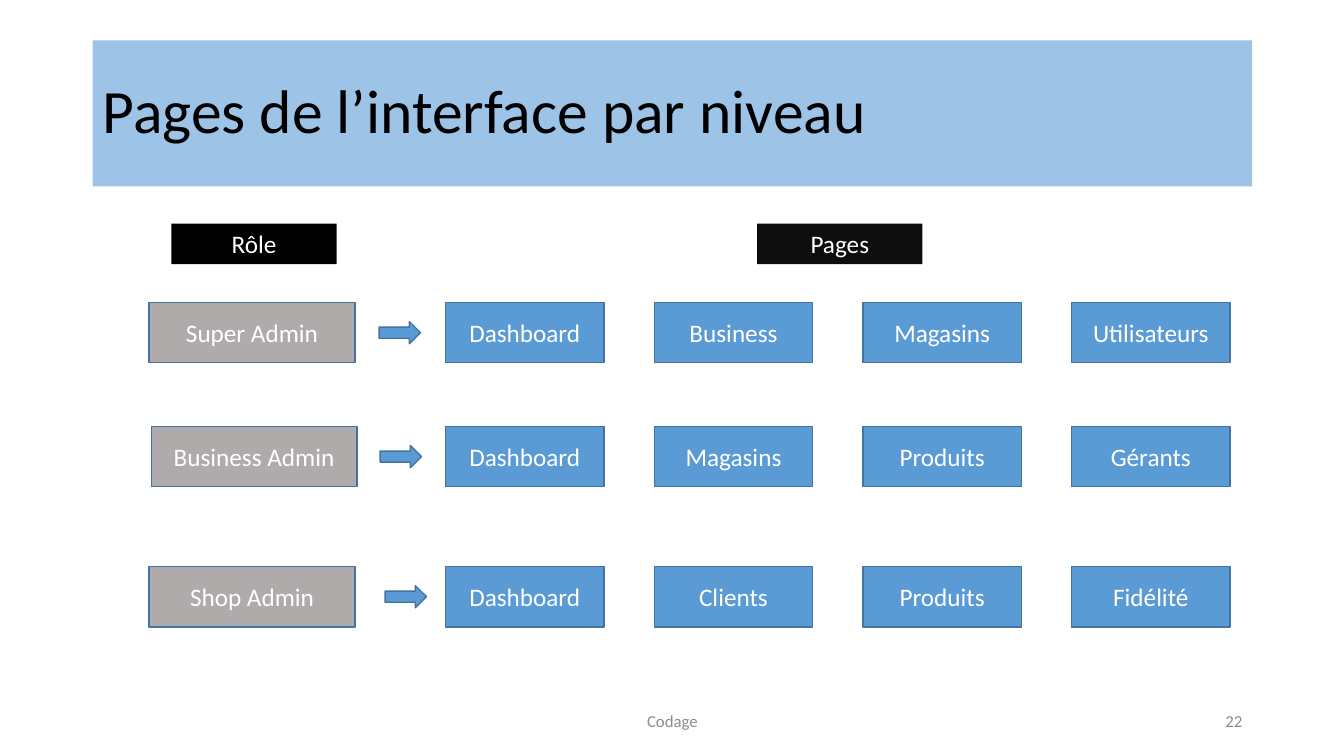
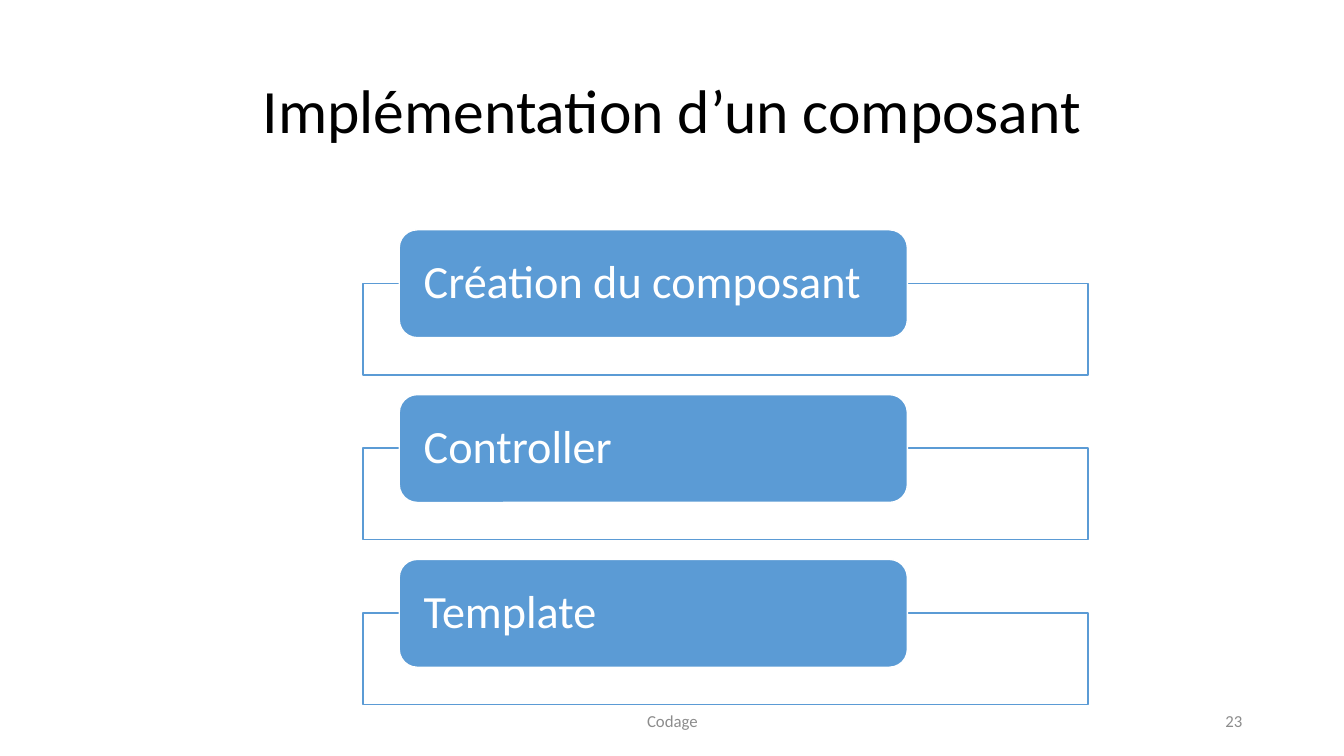
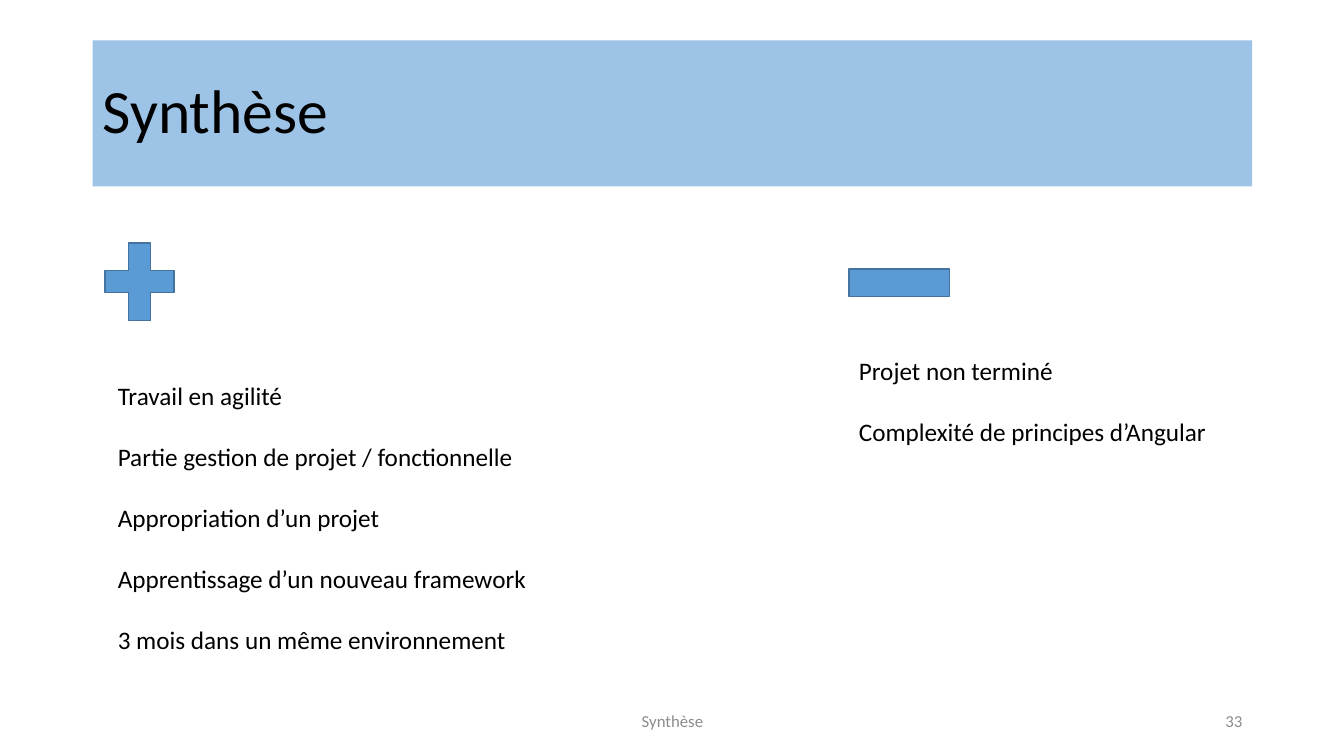
from pptx import Presentation
from pptx.dml.color import RGBColor
from pptx.enum.shapes import MSO_SHAPE as SHAPE
from pptx.enum.text import MSO_ANCHOR as ANCHOR, PP_ALIGN as ALIGN
from pptx.util import Inches, Pt

WHITE = RGBColor(0xFF, 0xFF, 0xFF)
BLACK = RGBColor(0x00, 0x00, 0x00)
NEAR_BLACK = RGBColor(0x0D, 0x0D, 0x0D)
BLUE = RGBColor(0x5B, 0x9B, 0xD5)
LIGHT_BLUE = RGBColor(0x9D, 0xC3, 0xE6)
DARK_BLUE = RGBColor(0x43, 0x73, 0x9E)
GREY = RGBColor(0xAF, 0xAB, 0xAB)
FOOTER_GREY = RGBColor(0x8C, 0x8C, 0x8C)


def add_box(s, text, x, y, w, h, shape=SHAPE.RECTANGLE, fill=None, line=None,
            size=18, color=WHITE, align=ALIGN.CENTER, anchor=ANCHOR.MIDDLE,
            inset=0.1, spacing=1.0, after=0):
    at = Inches(x), Inches(y), Inches(w), Inches(h)
    if fill is None:
        sp = s.shapes.add_textbox(*at)
    else:
        sp = s.shapes.add_shape(shape, *at)
        sp.shadow.inherit = False
        sp.fill.solid()
        sp.fill.fore_color.rgb = fill
        if line is None:
            sp.line.fill.background()
        else:
            sp.line.color.rgb = line
            sp.line.width = Pt(1)
    if not text:
        return
    tf = sp.text_frame
    tf.word_wrap = True
    tf.vertical_anchor = anchor
    tf.margin_left = tf.margin_right = Inches(inset)
    for i, part in enumerate(text.split("\n")):
        p = tf.paragraphs[0] if i == 0 else tf.add_paragraph()
        p.alignment = align
        p.line_spacing = spacing
        p.space_after = Pt(after)
        r = p.add_run()
        r.text = part
        r.font.name = "Calibri"
        r.font.size = Pt(size)
        r.font.color.rgb = color


def add_slide(title, footer, number, band=LIGHT_BLUE, align=ALIGN.LEFT):
    s = prs.slides.add_slide(prs.slide_layouts[6])
    add_box(s, title, 0.92, 0.4, 11.5, 1.45, fill=band, size=44, color=BLACK,
            align=align, spacing=0.9)
    add_box(s, footer, 4.42, 6.95, 4.5, 0.4, size=12, color=FOOTER_GREY)
    add_box(s, number, 9.42, 6.95, 3, 0.4, size=12, color=FOOTER_GREY,
            align=ALIGN.RIGHT)
    return s


prs = Presentation()
prs.slide_width = Inches(13.33)
prs.slide_height = Inches(7.5)

s = add_slide("Pages de l’interface par niveau", "Codage", "22")
add_box(s, "Rôle", 1.7, 2.22, 1.64, 0.4, fill=BLACK)
add_box(s, "Pages", 7.51, 2.22, 1.64, 0.4, fill=NEAR_BLACK)
roles = [
    ("Super Admin", 3, 1.48, 3.76,
     ["Dashboard", "Business", "Magasins", "Utilisateurs"]),
    ("Business Admin", 4.23, 1.5, 3.77,
     ["Dashboard", "Magasins", "Produits", "Gérants"]),
    ("Shop Admin", 5.62, 1.48, 3.82,
     ["Dashboard", "Clients", "Produits", "Fidélité"]),
]
for role, y, role_x, arrow_x, pages in roles:
    add_box(s, role, role_x, y, 2.04, 0.6, fill=GREY, line=DARK_BLUE)
    add_box(s, "", arrow_x, y + 0.19, 0.41, 0.22, shape=SHAPE.RIGHT_ARROW,
            fill=BLUE, line=DARK_BLUE)
    for col, page in enumerate(pages):
        add_box(s, page, 4.42 + 2.07 * col, y, 1.57, 0.6, fill=BLUE,
                line=DARK_BLUE)

s = add_slide("Implémentation d’un composant", "Codage", "23", band=None,
              align=ALIGN.CENTER)
for i, step in enumerate(["Création du composant", "Controller", "Template"]):
    y = 2.28 + 1.635 * i
    add_box(s, "", 3.6, y + 0.53, 7.19, 0.91, fill=WHITE, line=BLUE)
    add_box(s, step, 3.96, y, 5.04, 1.07, shape=SHAPE.ROUNDED_RECTANGLE,
            fill=BLUE, line=WHITE, size=33, align=ALIGN.LEFT, inset=0.19,
            spacing=0.9)

s = add_slide("Synthèse", "Synthèse", "33")
add_box(s, "", 0.92, 2.27, 0.93, 1.05, shape=SHAPE.MATH_PLUS, fill=BLUE,
        line=DARK_BLUE)
add_box(s, "", 8.42, 2.67, 1, 0.27, fill=BLUE, line=DARK_BLUE)
strengths = """Travail en agilité
Partie gestion de projet / fonctionnelle
Appropriation d’un projet
Apprentissage d’un nouveau framework
3 mois dans un même environnement"""
limits = """Projet non terminé
Complexité de principes d’Angular"""
for text, x, y, w, h in [(strengths, 1.07, 3.72, 5.33, 2.8),
                         (limits, 8.42, 3.48, 4.14, 1.01)]:
    add_box(s, text, x, y, w, h, color=BLACK, align=ALIGN.LEFT,
            anchor=ANCHOR.TOP, after=22)

prs.save("out.pptx")
